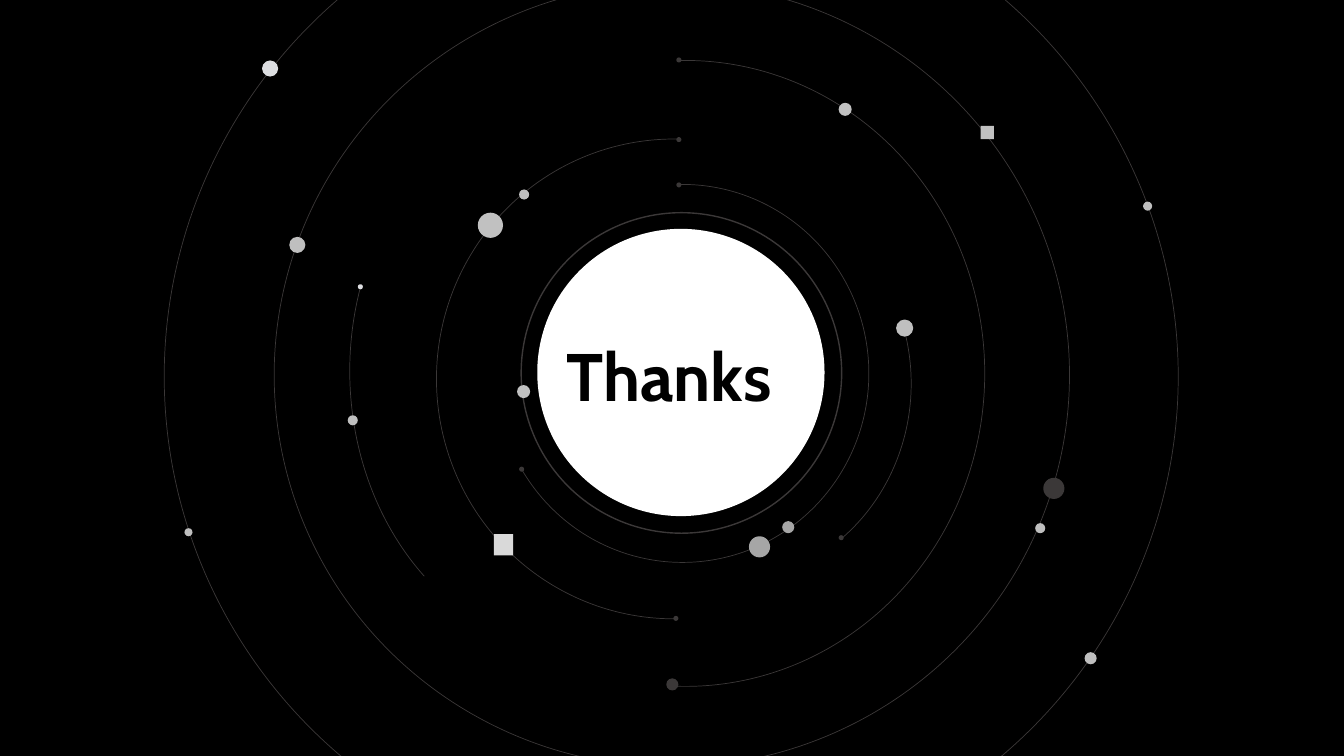
"""Build a closing slide with a white disc ringed by orbits and small planets."""
from pptx import Presentation
from pptx.dml.color import RGBColor
from pptx.enum.shapes import MSO_SHAPE
from pptx.enum.text import MSO_AUTO_SIZE
from pptx.util import Inches, Pt

COLORS = {
    "space": "000000", "disc": "FFFFFF", "orbit": "3B3838", "grey": "A6A6A6",
    "silver": "BFBFBF", "pearl": "C1C1C1", "mist": "D9D9D9", "ice": "DDDEE1",
}
CELL = Inches(0.01)
COLUMNS, ROWS = 1333.33, 750

deck = Presentation()
deck.slide_width, deck.slide_height = int(COLUMNS * CELL), ROWS * CELL
page = deck.slides.add_slide(deck.slide_layouts[6])
page.background.fill.solid()
page.background.fill.fore_color.rgb = RGBColor.from_string(COLORS["space"])


def add_body(kind, left, top, width, height, fill=None, line_width=None):
    """Add a shape placed in grid cells, filled or outlined."""
    shape = page.shapes.add_shape(kind, *(CELL * n for n in (left, top, width, height)))
    shape.shadow.inherit = False
    if fill:
        shape.fill.solid()
        shape.fill.fore_color.rgb = RGBColor.from_string(COLORS[fill])
    else:
        shape.fill.background()
    if line_width:
        shape.line.color.rgb = RGBColor.from_string(COLORS["orbit"])
        shape.line.width = Pt(line_width)
    else:
        shape.line.fill.background()
    return shape


orbits = [
    (383, 60, 594, 621, 161.48, 55.61),
    (492, 183, 370, 375, 161.36, 89.39),
    (433, 138, 471, 476, 53.69, 162.61),
    (347, 88, 471, 560, 77.05, 120.3),
    (533, 183, 371, 395, 206.44, 31.71),
    (272, -17, 789, 778, 55.71, 55.61),
    (163, -123, 1006, 993, 55.71, 55.61),
]
for left, top, width, height, start, end in orbits:
    arc = add_body(MSO_SHAPE.ARC, left, top, width, height, line_width=0.5)
    arc.adjustments[0] = start
    arc.adjustments[1] = end

add_body(MSO_SHAPE.OVAL, 533, 227, 285, 285, fill="disc")
add_body(MSO_SHAPE.OVAL, 517, 211, 318, 318, line_width=1)

planets = {
    "grey": [(743, 532, 21), (776, 517, 12)],
    "silver": [(889, 317, 17), (1027, 519, 10), (1076, 647, 12), (345, 412, 10),
               (287, 235, 16), (515, 188, 10), (1134, 200, 9), (183, 524, 8)],
    "pearl": [(513, 382, 13), (474, 211, 25), (832, 102, 13)],
    "ice": [(260, 60, 16), (355, 282, 5)],
    "orbit": [(661, 673, 12), (1035, 474, 21), (671, 136, 5), (671, 181, 5),
              (515, 463, 5), (671, 57, 5), (668, 611, 5), (832, 531, 5)],
}
for color, places in planets.items():
    for left, top, size in places:
        add_body(MSO_SHAPE.OVAL, left, top, size, size, fill=color)

add_body(MSO_SHAPE.RECTANGLE, 490, 530, 19, 21, fill="mist")
add_body(MSO_SHAPE.RECTANGLE, 973, 125, 13, 13, fill="pearl")

box = page.shapes.add_textbox(*(CELL * n for n in (552, 327, 283, 91)))
box.text_frame.word_wrap = True
box.text_frame.auto_size = MSO_AUTO_SIZE.SHAPE_TO_FIT_TEXT
para = box.text_frame.paragraphs[0]
span = para.add_run()
span.text = "Thanks"
span.font.name = "Cabin"
span.font.size = Pt(48)
span.font.bold = True
span.font.color.rgb = RGBColor.from_string(COLORS["space"])

deck.save("out.pptx")
